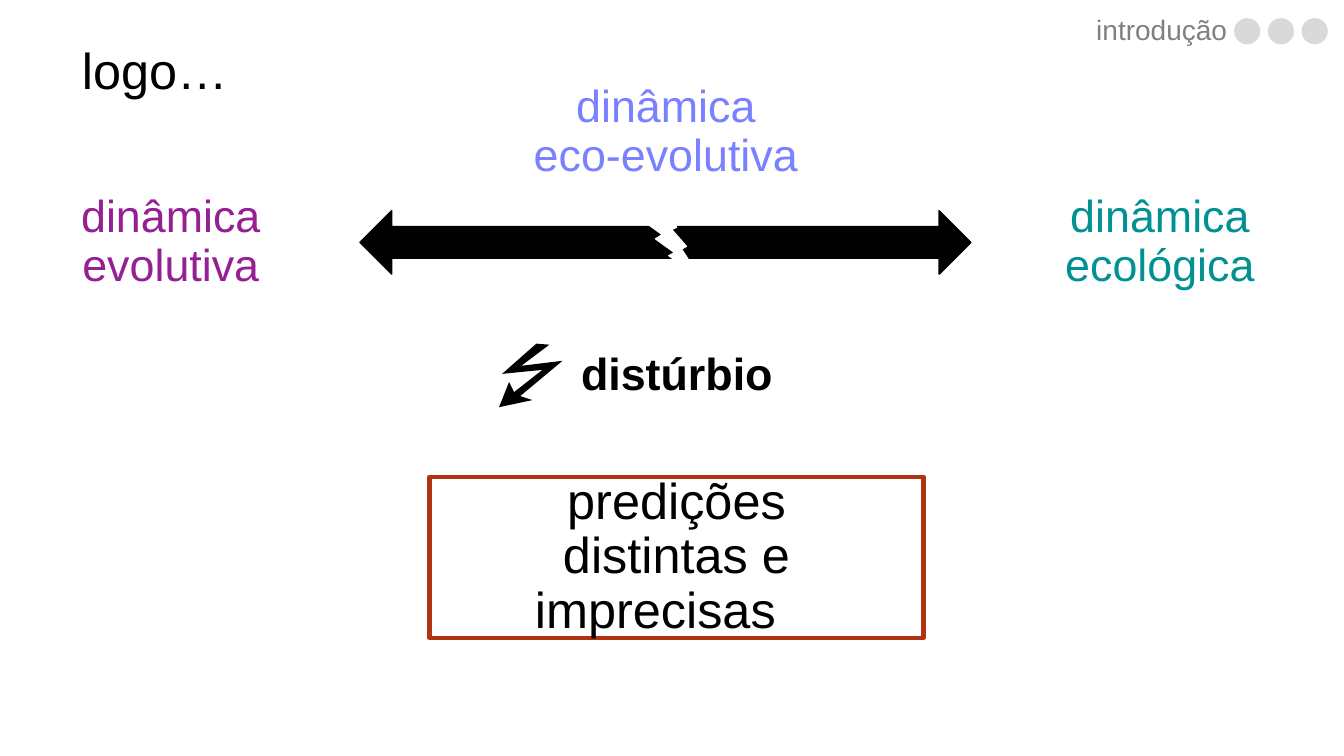
from lxml import etree
from pptx import Presentation
from pptx.dml.color import RGBColor
from pptx.enum.shapes import MSO_SHAPE as Shape
from pptx.enum.text import MSO_ANCHOR as Anchor, PP_ALIGN as Align
from pptx.util import Inches, Pt

THEME = {
    "font": "Arial", "line_spacing": 0.9,
    "black": "000000", "white": "FFFFFF", "gray": "808080", "dot": "D9D9D9",
    "evolution": "942093", "ecology": "009193", "eco_evo": "7A81FF", "frame": "B23214",
    "small": 20, "label": 32, "large": 36,
}

# Content: paragraphs, box (left, top, width, height), size, colour, extra format
LABELS = [
    (["introdução"], (9.85, 0.08, 2.42, 0.47), "small", "gray", {"align": Align.RIGHT}),
    (["logo…"], (-0.15, 0, 3.37, 1.45), "large", "black", {}),
    (["dinâmica evolutiva"], (0.08, 1.68, 3.23, 1.45), "label", "evolution", {}),
    (["dinâmica ecológica"], (9.89, 1.68, 3.23, 1.45), "label", "ecology", {}),
    (["dinâmica", "eco-evolutiva"], (4.87, 0.49, 3.47, 1.65), "label", "eco_evo", {}),
    (["distúrbio"], (4.83, 2.73, 3.77, 1.99), "label", "black", {"bold": True}),
]
PREDICTIONS = ["predições", "distintas e", "imprecisas"]
PREDICTIONS_BOX = (4.26, 4.73, 4.9, 1.6)
LAST_LINE_INDENT = 0.42

DOTS = {"count": 3, "left": 12.24, "top": 0.18, "size": 0.26, "step": 0.335}
ARROW_BOX = (3.57, 2.09, 6.06, 0.63)
BREAK_BOX = (6.37, 2.06, 0.57, 0.69)
DISTURBANCE_BOLT = [
    (5.58, 3.58), (5.17, 3.63), (5.45, 3.42), (5.32, 3.41), (4.98, 3.71), (5.38, 3.67),
    (5.1, 3.89), (5.05, 3.79), (4.95, 4.04), (5.28, 3.97), (5.16, 3.93),
]

prs = Presentation()
prs.slide_width, prs.slide_height = Inches(13.33), Inches(7.5)
slide = prs.slides.add_slide(prs.slide_layouts[6])


def color(name):
    return RGBColor.from_string(THEME[name])


def paint(shape, fill, line=None, width=1):
    shape.shadow.inherit = False
    shape.fill.solid()
    shape.fill.fore_color.rgb = color(fill)
    if line:
        shape.line.color.rgb = color(line)
        shape.line.width = Pt(width)
    else:
        shape.line.fill.background()
    return shape


def add_preset(kind, box, fill, line=None, width=1):
    shape = slide.shapes.add_shape(kind, *map(Inches, box))
    return paint(shape, fill, line, width)


def write(shape, lines, size, tint, align=Align.CENTER, bold=False):
    frame = shape.text_frame
    frame.word_wrap = True
    frame.vertical_anchor = Anchor.MIDDLE
    frame.text = "\n".join(lines)
    font_format = {"name": THEME["font"], "size": Pt(THEME[size]), "bold": bold}
    for paragraph in frame.paragraphs:
        paragraph.alignment = align
        paragraph.line_spacing = THEME["line_spacing"]
        for run in paragraph.runs:
            for key, value in font_format.items():
                setattr(run.font, key, value)
            run.font.color.rgb = color(tint)
    return frame


# Progress dots
for i in range(DOTS["count"]):
    left = DOTS["left"] + i * DOTS["step"]
    add_preset(Shape.OVAL, (left, DOTS["top"], DOTS["size"], DOTS["size"]), "dot")

# Broken double arrow between the two dynamics
add_preset(Shape.LEFT_RIGHT_ARROW, ARROW_BOX, "black", "black")
add_preset(Shape.LIGHTNING_BOLT, BREAK_BOX, "white", "white")

# Disturbance bolt
start, *corners = [(Inches(x), Inches(y)) for x, y in DISTURBANCE_BOLT]
bolt = slide.shapes.build_freeform(*start)
bolt.add_line_segments(corners, close=True)
paint(bolt.convert_to_shape(), "black")

# Labels
for lines, box, size, tint, extra in LABELS:
    write(slide.shapes.add_textbox(*map(Inches, box)), lines, size, tint, **extra)

# Framed conclusion, its last line set slightly to the left
conclusion = add_preset(Shape.RECTANGLE, PREDICTIONS_BOX, "white", "frame", 3)
frame = write(conclusion, PREDICTIONS, "large", "black")
last_line = frame.paragraphs[-1]._p.get_or_add_pPr()
last_line.set("marR", str(Inches(LAST_LINE_INDENT)))

prs.save("out.pptx")
